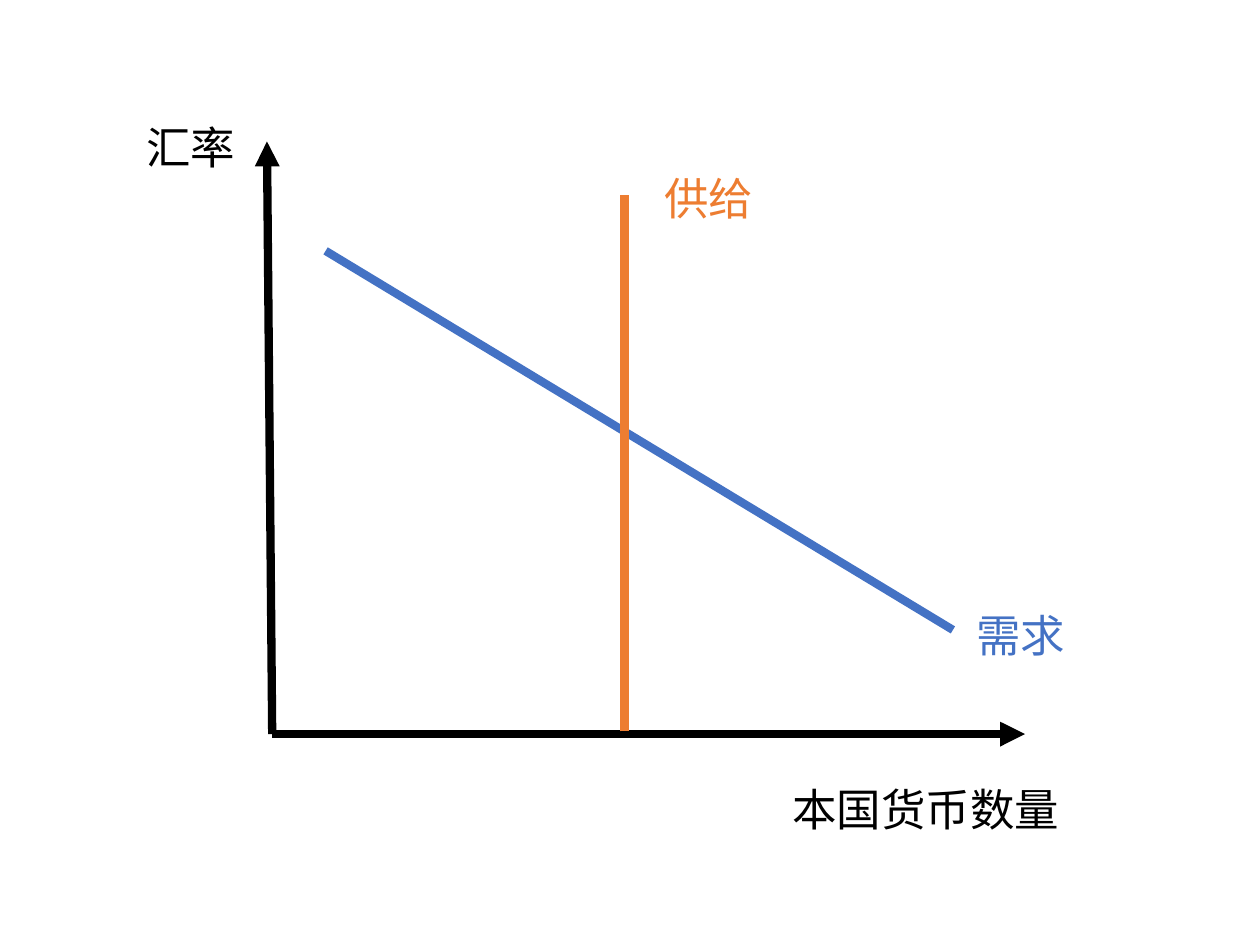
from lxml import etree
from pptx import Presentation
from pptx.dml.color import RGBColor
from pptx.enum.shapes import MSO_CONNECTOR
from pptx.enum.text import MSO_AUTO_SIZE
from pptx.oxml.ns import qn
from pptx.util import Inches, Pt

BLACK = RGBColor(0x00, 0x00, 0x00)
DEMAND_BLUE = RGBColor(0x44, 0x72, 0xC4)
SUPPLY_ORANGE = RGBColor(0xED, 0x7D, 0x31)
FONT = "Noto Sans CJK SC"


def add_label(shapes, text, left, top, width, height=0.3, size=12, color=BLACK):
    box = shapes.add_textbox(Inches(left), Inches(top), Inches(width), Inches(height))
    frame = box.text_frame
    frame.word_wrap = True
    frame.auto_size = MSO_AUTO_SIZE.SHAPE_TO_FIT_TEXT
    run = frame.paragraphs[0].add_run()
    run.text = text
    run.font.size = Pt(size)
    run.font.color.rgb = color
    run.font.name = FONT
    # Chinese text takes its typeface from the East Asian font
    etree.SubElement(run.font._element, qn("a:ea"), typeface=FONT)


def add_line(shapes, start, end, color=BLACK, arrow=False):
    line = shapes.add_connector(MSO_CONNECTOR.STRAIGHT, *map(Inches, start + end))
    line.line.color.rgb = color
    line.line.width = Pt(2.25)
    properties = line._element.spPr
    if arrow:
        etree.SubElement(properties.find(qn("a:ln")), qn("a:tailEnd"), type="triangle")
    etree.SubElement(properties, qn("a:effectLst"))


presentation = Presentation()
presentation.slide_width = Inches(4.72)
presentation.slide_height = Inches(3.54)
slide = presentation.slides.add_slide(presentation.slide_layouts[6])
diagram = slide.shapes.add_group_shape().shapes

# Axes
origin = (1.02, 2.75)
add_line(diagram, origin, (3.84, 2.75), arrow=True)
add_line(diagram, origin, (1, 0.53), arrow=True)

# Demand and supply curves
add_line(diagram, (1.22, 0.94), (3.57, 2.36), DEMAND_BLUE)
add_line(diagram, (2.34, 2.74), (2.34, 0.73), SUPPLY_ORANGE)

# Axis labels
add_label(diagram, "汇率", 0.45, 0.4, 0.6)
add_label(diagram, "本国货币数量", 2.87, 2.88, 1.26)

# Curve labels
add_label(diagram, "供给", 2.39, 0.59, 0.58, color=SUPPLY_ORANGE)
add_label(diagram, "需求", 3.56, 2.23, 0.55, color=DEMAND_BLUE)

presentation.save("out.pptx")
